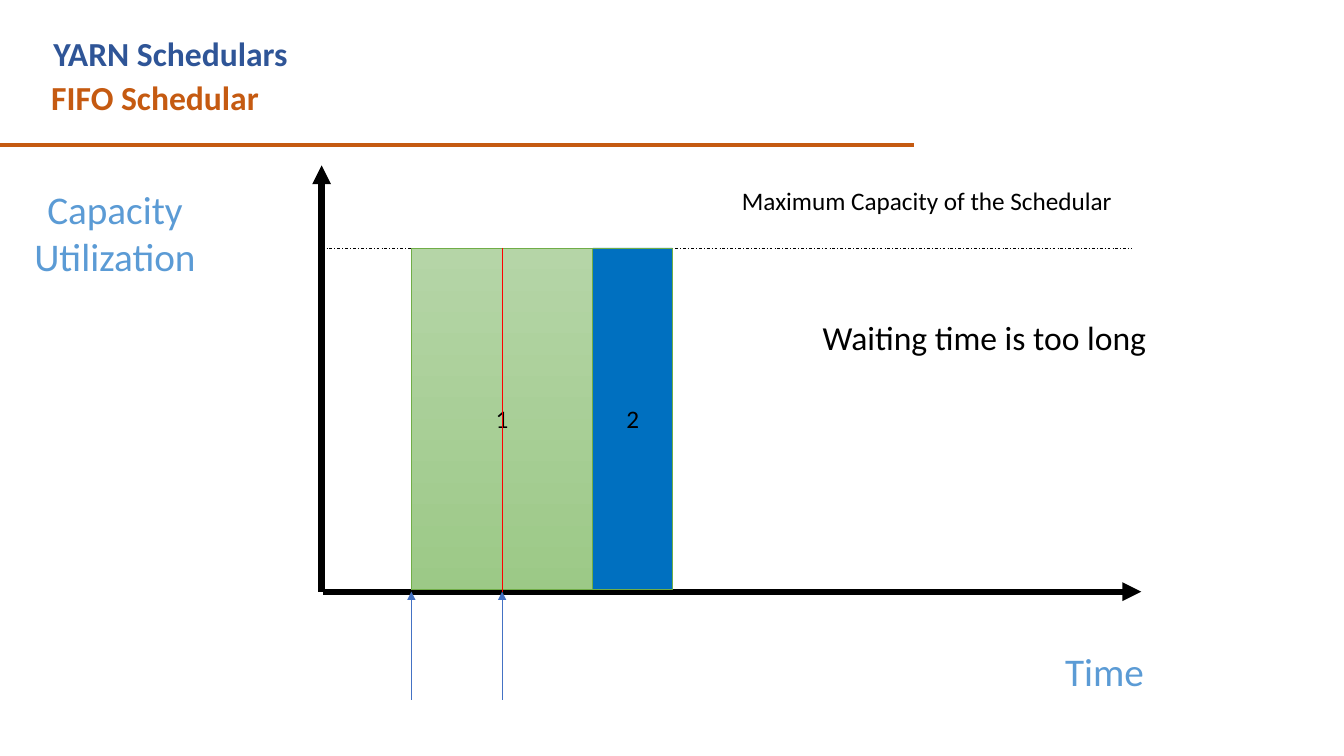
import pptx
import pptx.util
import pptx.dml.color
import pptx.enum.dml
import pptx.enum.shapes
import pptx.enum.text
from pptx.oxml.ns import qn
from lxml import etree

Inches, Pt = pptx.util.Inches, pptx.util.Pt
RGBColor = pptx.dml.color.RGBColor
ALIGN = pptx.enum.text.PP_ALIGN
ANCHOR = pptx.enum.text.MSO_ANCHOR

BLACK = RGBColor(0x00, 0x00, 0x00)
NAVY = RGBColor(0x2F, 0x55, 0x97)
ORANGE = RGBColor(0xC5, 0x5A, 0x11)
SKY = RGBColor(0x5B, 0x9B, 0xD5)
ARROW_BLUE = RGBColor(0x44, 0x72, 0xC4)
RED = RGBColor(0xFF, 0x00, 0x00)
GREEN = RGBColor(0x70, 0xAD, 0x47)
GREEN_TOP = RGBColor(0xB5, 0xD5, 0xA7)
GREEN_BOTTOM = RGBColor(0x9C, 0xC9, 0x87)
JOB_BLUE = RGBColor(0x00, 0x70, 0xC0)

AXIS_X, AXIS_Y = 3.19, 5.87
CAPACITY_Y, JOB_BOTTOM, ARRIVAL_Y = 2.46, 5.85, 6.94
JOB1_X, JOB2_X, JOB2_END = 4.08, 5.88, 6.67
JOB2_ARRIVAL = (JOB1_X + JOB2_X) / 2

TITLE = ("YARN Schedulars", (0.43, 0.28, 8.2, 0.5), 24, NAVY, True, ALIGN.LEFT, True)
LABELS = [
    ("FIFO Schedular", (0.41, 0.71, 8.75, 0.5), 24, ORANGE, True, ALIGN.LEFT, True),
    ("Time", (10.46, 6.37, 0.99, 0.57), 28, SKY, False, ALIGN.CENTER, False),
    ("Capacity Utilization", (0, 1.79, 2.28, 1.04), 28, SKY, False, ALIGN.CENTER, True),
    ("Maximum Capacity of the Schedular", (7.26, 1.79, 4.19, 0.4), 18, BLACK, False,
     ALIGN.LEFT, True),
    ("Waiting time is too long", (8.06, 3.09, 4.82, 0.5), 24, BLACK, False, ALIGN.LEFT, True),
]
AXES = [
    ((-0.01, 1.44), (9.07, 1.44), ORANGE, 3, False, False),
    ((3.2, AXIS_Y), (11.32, AXIS_Y), BLACK, 4.5, False, True),
    ((AXIS_X, AXIS_Y), (AXIS_X, 1.64), BLACK, 4.5, False, True),
    ((AXIS_X, CAPACITY_Y), (11.22, CAPACITY_Y), BLACK, 0.5, True, False),
]
JOBS = [
    ("1", JOB1_X, JOB2_X, (GREEN_TOP, GREEN_BOTTOM)),
    ("2", JOB2_X, JOB2_END, (JOB_BLUE,)),
]
ARRIVALS = [
    ((x, ARRIVAL_Y), (x, AXIS_Y), ARROW_BLUE, 0.5, False, True)
    for x in (JOB1_X, JOB2_ARRIVAL)
]
WAITING = ((JOB2_ARRIVAL, CAPACITY_Y), (JOB2_ARRIVAL, AXIS_Y), RED, 0.5, False, False)


def set_text(tf, text, size, color, bold, align):
    tf.text = text
    p = tf.paragraphs[0]
    p.alignment = align
    p.font.name, p.font.size, p.font.bold = "Calibri", Pt(size), bold
    p.font.color.rgb = color


def fill_label(sp, text, box, size, color, bold, align, wrap):
    sp.left, sp.top, sp.width, sp.height = map(Inches, box)
    tf = sp.text_frame
    tf.word_wrap = wrap
    tf.auto_size = pptx.enum.text.MSO_AUTO_SIZE.NONE
    tf.vertical_anchor = ANCHOR.TOP
    set_text(tf, text, size, color, bold, align)


def add_line(s, start, end, color, width, dashed, arrow):
    ends = map(Inches, start + end)
    line = s.shapes.add_connector(pptx.enum.shapes.MSO_CONNECTOR.STRAIGHT, *ends)
    line.line.color.rgb = color
    line.line.width = Pt(width)
    if dashed:
        line.line.dash_style = pptx.enum.dml.MSO_LINE.DASH_DOT
    if arrow:
        ln = line.line._get_or_add_ln()
        etree.SubElement(ln, qn("a:tailEnd"), type="triangle")
    etree.SubElement(line._element.spPr, qn("a:effectLst"))


def add_job(s, name, left, right, colors):
    box = map(Inches, (left, CAPACITY_Y, right - left, JOB_BOTTOM - CAPACITY_Y))
    sp = s.shapes.add_shape(pptx.enum.shapes.MSO_SHAPE.RECTANGLE, *box)
    sp.shadow.inherit = False
    if len(colors) > 1:
        sp.fill.gradient()
        sp.fill.gradient_angle = 270
        for stop, color in zip(sp.fill.gradient_stops, colors):
            stop.color.rgb = color
    else:
        sp.fill.solid()
        sp.fill.fore_color.rgb = colors[0]
    sp.line.color.rgb = GREEN
    sp.line.width = Pt(0.5)
    sp.text_frame.vertical_anchor = ANCHOR.MIDDLE
    set_text(sp.text_frame, name, 18, BLACK, False, ALIGN.CENTER)


def main():
    """Build the FIFO scheduler slide."""
    prs = pptx.Presentation()
    prs.slide_width, prs.slide_height = Inches(13.33), Inches(7.5)
    s = prs.slides.add_slide(prs.slide_layouts[5])
    fill_label(s.shapes.title, *TITLE)
    for label in LABELS:
        fill_label(s.shapes.add_textbox(0, 0, 0, 0), *label)
    for axis in AXES:
        add_line(s, *axis)
    for job in JOBS:
        add_job(s, *job)
    for line in ARRIVALS + [WAITING]:
        add_line(s, *line)
    prs.save("out.pptx")


if __name__ == "__main__":
    main()
